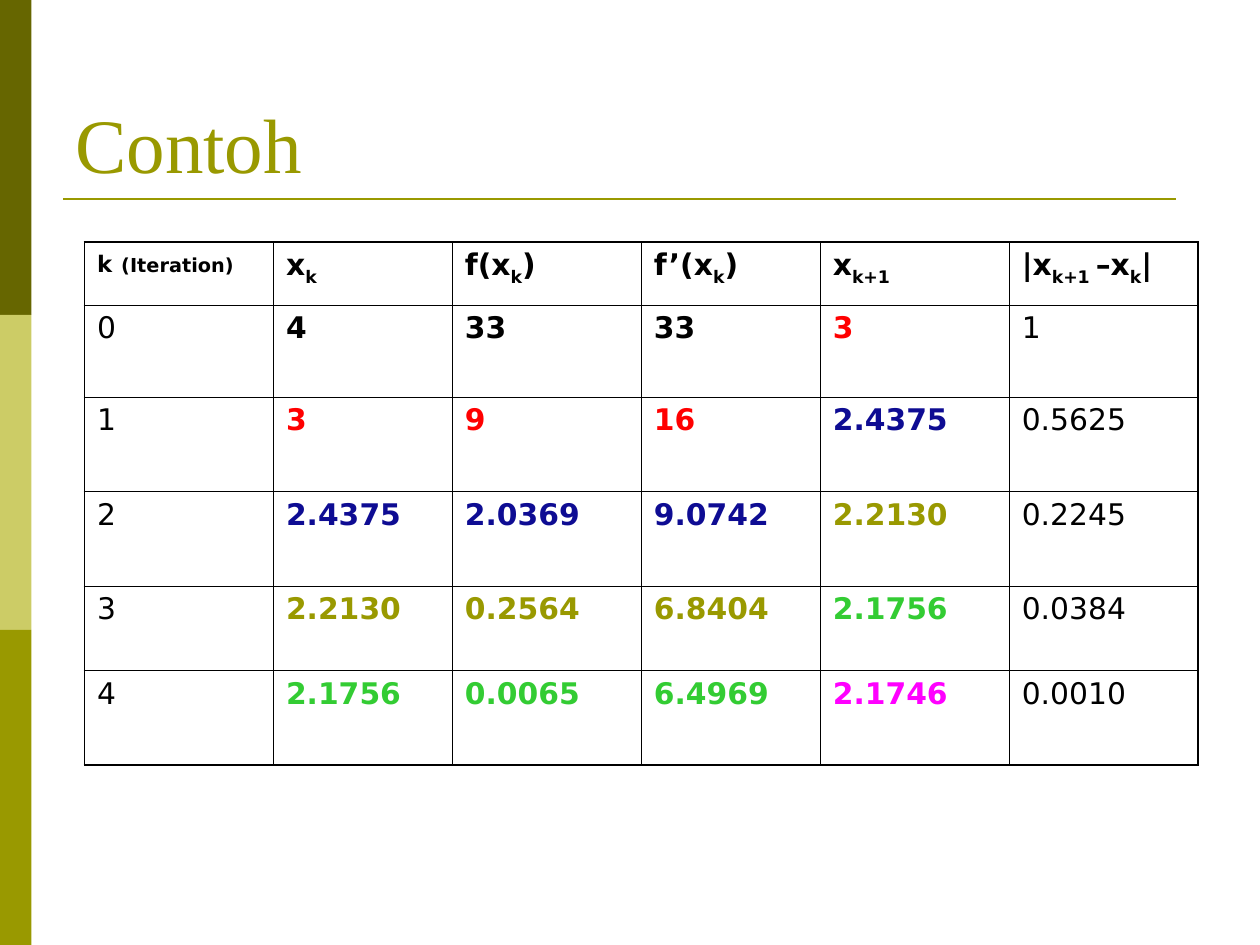
from lxml import etree
from pptx import Presentation
from pptx import util as u
from pptx.dml import color
from pptx.enum import shapes, text
from pptx.oxml import ns

COLORS = {
    "dark_olive": "666600", "pale_olive": "CCCC66", "olive": "999900",
    "black": "000000", "red": "FF0000", "navy": "0E0C93",
    "green": "33CC33", "magenta": "FF00FF",
}
SERIF, SANS = "Times New Roman", "DejaVu Sans"
BAR_WIDTH, BAR_HEIGHT = 0.25, 2.5
THIN, THICK = 0.45, 1.08
SUBSCRIPT = "-25000"

COLUMN_WIDTHS = [1.5, 1.42, 1.5, 1.42, 1.5, 1.5]
ROW_HEIGHTS = [0.5, 0.73, 0.75, 0.75, 0.67, 0.75]
ITERATION_LABEL = [("k", 13), (" ", 15), ("(Iteration)", 11)]
FORMULAS = [
    ["x", "k"],
    ["f(x", "k", ")"],
    ["f’(x", "k", ")"],
    ["x", "k+1"],
    ["|x", "k+1 ", "–x", "k", "|"],
]
ITERATIONS = [
    ["0", "4", "33", "33", "3", "1"],
    ["1", "3", "9", "16", "2.4375", "0.5625"],
    ["2", "2.4375", "2.0369", "9.0742", "2.2130", "0.2245"],
    ["3", "2.2130", "0.2564", "6.8404", "2.1756", "0.0384"],
    ["4", "2.1756", "0.0065", "6.4969", "2.1746", "0.0010"],
]
ESTIMATE_COLORS = ["black", "red", "navy", "olive", "green", "magenta"]


def rgb(name):
    return color.RGBColor.from_string(COLORS[name])


def add_run(paragraph, wording, hue="black", subscript=False, **formats):
    run = paragraph.add_run()
    run.text = wording
    for name, value in formats.items():
        setattr(run.font, name, value)
    run.font.color.rgb = rgb(hue)
    if subscript:
        run.font._element.set("baseline", SUBSCRIPT)


def add_bar(slide, position, hue):
    bar = slide.shapes.add_shape(
        shapes.MSO_SHAPE.RECTANGLE, 0, u.Inches(position * BAR_HEIGHT),
        u.Inches(BAR_WIDTH), u.Inches(BAR_HEIGHT))
    bar.shadow.inherit = False
    bar.fill.solid()
    bar.fill.fore_color.rgb = rgb(hue)
    bar.line.fill.background()


def add_rule(slide):
    rule = slide.shapes.add_connector(
        shapes.MSO_CONNECTOR.STRAIGHT, u.Inches(0.5), u.Inches(1.58),
        u.Inches(9.33), u.Inches(1.58))
    rule.line.color.rgb = rgb("olive")
    rule.line.width = u.Pt(1.5)
    etree.SubElement(rule._element.spPr, ns.qn("a:effectLst"))


def add_title(slide):
    title = slide.shapes.add_textbox(
        u.Inches(0.5), u.Inches(0.3), u.Inches(9), u.Inches(1.25))
    frame = title.text_frame
    frame.word_wrap = True
    frame.vertical_anchor = text.MSO_ANCHOR.BOTTOM
    add_run(frame.paragraphs[0], "Contoh", "olive", size=u.Pt(44), name=SERIF)


def set_borders(cell, row, column):
    outer = {
        "lnL": column == 0,
        "lnR": column == len(COLUMN_WIDTHS) - 1,
        "lnT": row == 0,
        "lnB": row == len(ROW_HEIGHTS) - 1,
    }
    properties = cell._tc.get_or_add_tcPr()
    for side, is_outer in outer.items():
        border = etree.SubElement(properties, ns.qn(f"a:{side}"))
        border.set("w", str(u.Pt(THICK if is_outer else THIN)))
        fill = etree.SubElement(border, ns.qn("a:solidFill"))
        etree.SubElement(fill, ns.qn("a:srgbClr")).set("val", COLORS["black"])


def fill_header(cells):
    label = cells[0].text_frame.paragraphs[0]
    label.space_before = u.Pt(2.8)
    for wording, size in ITERATION_LABEL:
        add_run(label, wording, size=u.Pt(size), name=SANS, bold=True)
    for cell, parts in zip(cells[1:], FORMULAS):
        formula = cell.text_frame.paragraphs[0]
        formula.space_before = u.Pt(4.2)
        for index, part in enumerate(parts):
            add_run(formula, part, subscript=index % 2 == 1,
                    size=u.Pt(17), name=SANS, bold=True)


def fill_iteration(cells, k):
    current, following = ESTIMATE_COLORS[k:k + 2]
    hues = ["black", current, current, current, following, "black"]
    for column, (cell, value) in enumerate(zip(cells, ITERATIONS[k])):
        paragraph = cell.text_frame.paragraphs[0]
        paragraph.space_before = u.Pt(4.2)
        add_run(paragraph, value, hues[column],
                size=u.Pt(17), name=SANS, bold=0 < column < 5)


def add_iteration_table(slide):
    table = slide.shapes.add_table(
        len(ROW_HEIGHTS), len(COLUMN_WIDTHS), u.Inches(0.67), u.Inches(1.92),
        u.Inches(sum(COLUMN_WIDTHS)), u.Inches(sum(ROW_HEIGHTS))).table
    table.first_row = table.horz_banding = False
    for column, width in zip(table.columns, COLUMN_WIDTHS):
        column.width = u.Inches(width)
    for row_index, (row, height) in enumerate(zip(table.rows, ROW_HEIGHTS)):
        row.height = u.Inches(height)
        cells = list(row.cells)
        for column_index, cell in enumerate(cells):
            set_borders(cell, row_index, column_index)
            cell.fill.background()
        if row_index == 0:
            fill_header(cells)
        else:
            fill_iteration(cells, row_index - 1)


def main():
    deck = Presentation()
    deck.slide_width, deck.slide_height = u.Inches(10), u.Inches(7.5)
    slide = deck.slides.add_slide(deck.slide_layouts[6])
    for position, hue in enumerate(["dark_olive", "pale_olive", "olive"]):
        add_bar(slide, position, hue)
    add_rule(slide)
    add_title(slide)
    add_iteration_table(slide)
    deck.save("out.pptx")


if __name__ == "__main__":
    main()
